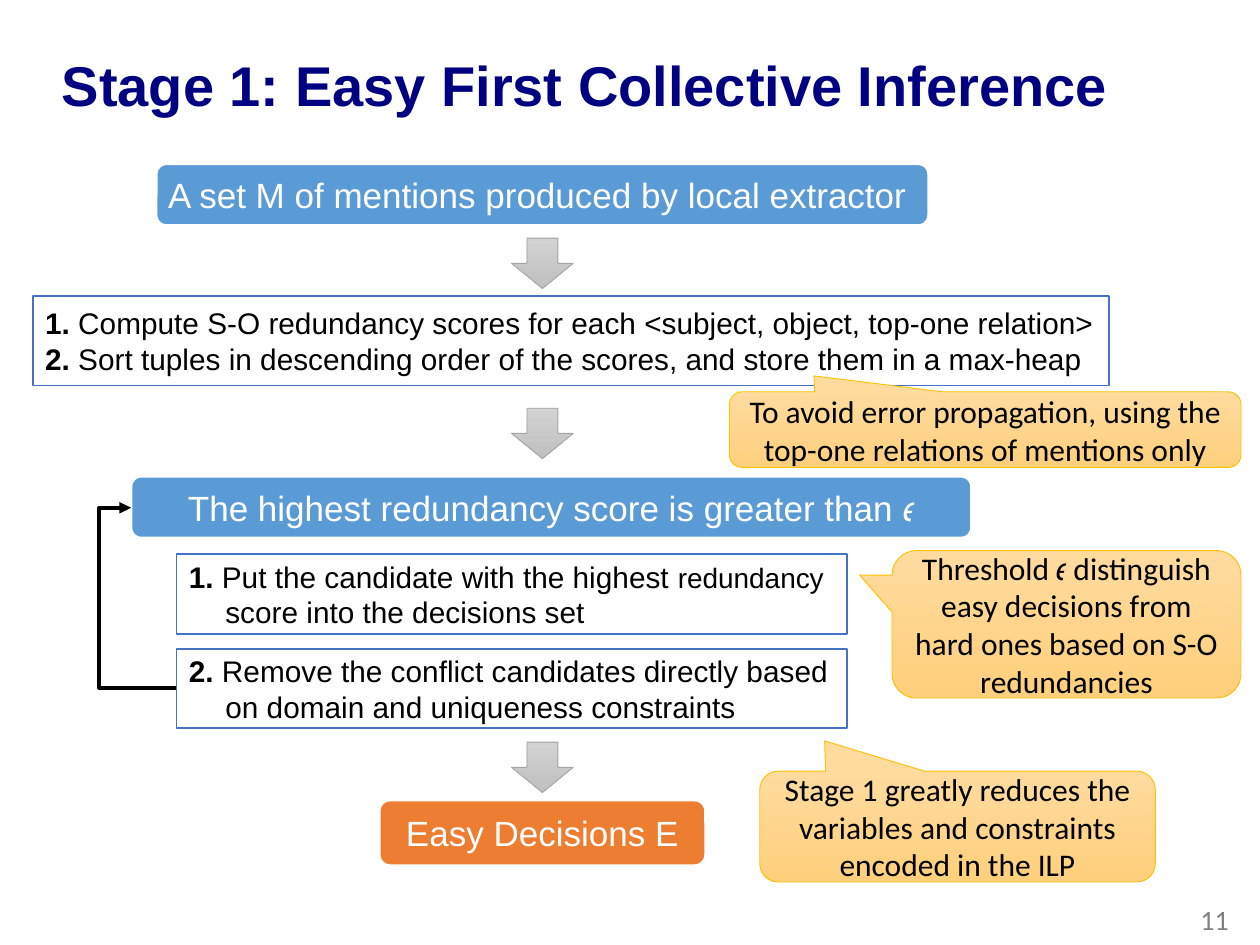
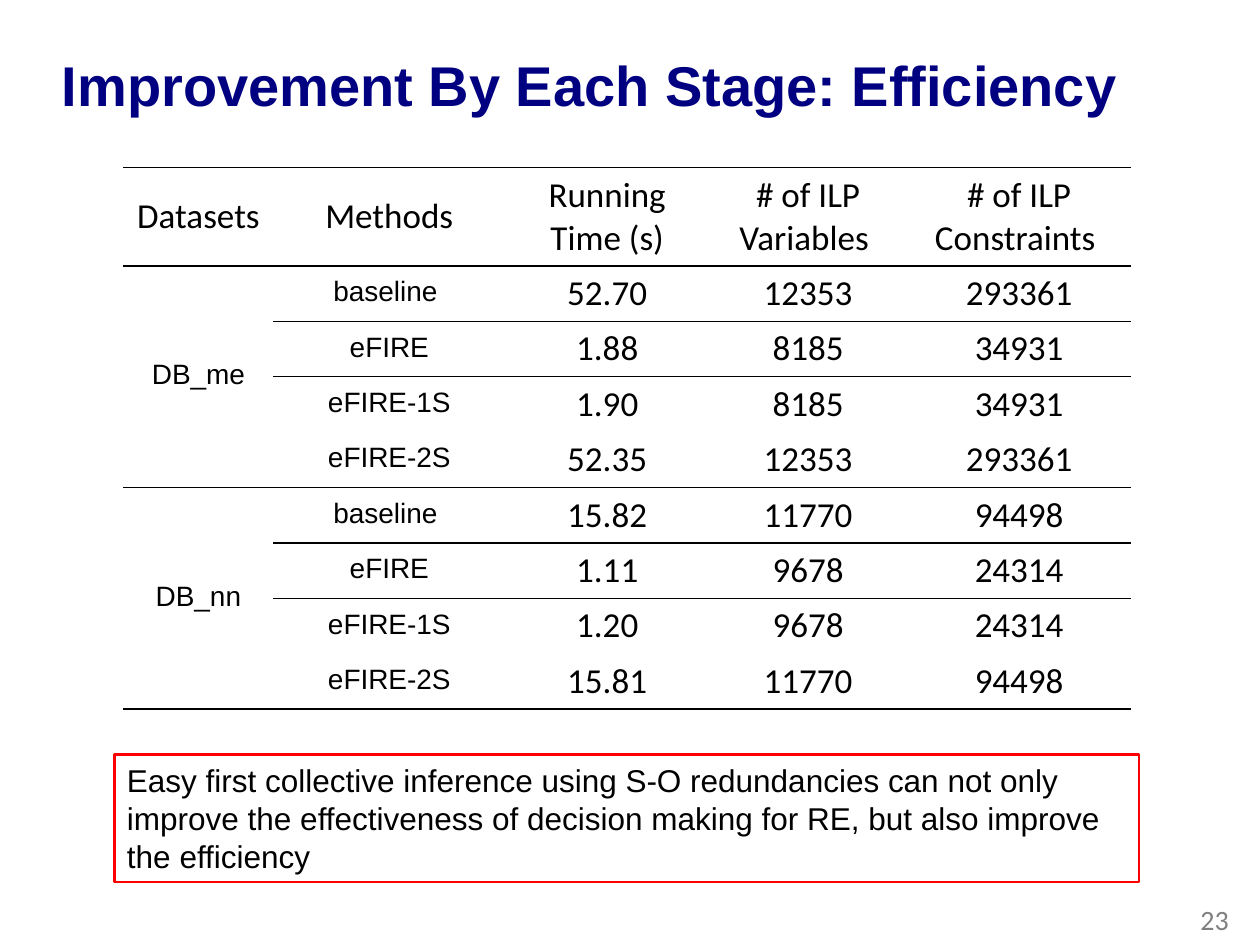
"""Build two slides on easy first collective inference: its flow and its efficiency."""
from lxml.etree import SubElement
from pptx import Presentation
from pptx.dml.color import RGBColor
from pptx.enum.shapes import MSO_CONNECTOR, MSO_SHAPE
from pptx.enum.text import MSO_ANCHOR, MSO_AUTO_SIZE, PP_ALIGN
from pptx.oxml.ns import qn
from pptx.util import Inches, Pt

COLORS = {
    "title": "000080", "text": "000000", "white": "FFFFFF", "number": "808080",
    "step": "5B9BD5", "result": "ED7D31", "detail": "4472C4", "finding": "FF0000",
    "arrow_top": "D2D2D2", "arrow_bottom": "C0C0C0", "arrow_line": "A5A5A5",
    "note_top": "FFDB9E", "note_bottom": "FFD07C", "note_line": "FFC000",
}
HEADING_FONT = "Arial"
NOTE_FONT = "Calibri"
FLOW_CENTER = 4.305
NO_GRID_STYLE = "{2D5ABB26-0587-4C30-8999-92F81FD0307C}"

COLUMN_WIDTHS = (1.19, 1.84, 1.62, 1.57, 1.78)
HEADER_HEIGHT, ROW_HEIGHT = 0.78, 0.44
HEADER = ("Datasets", "Methods", "Running Time (s)",
          "# of ILP\nVariables ", "# of ILP\nConstraints ")
METHODS = ("baseline ", "eFIRE", "eFIRE-1S", "eFIRE-2S")
RESULTS = {
    "DB_me": (("52.70", "12353", "293361"), ("1.88", "8185", "34931"),
              ("1.90", "8185", "34931"), ("52.35", "12353", "293361")),
    "DB_nn": (("15.82", "11770", "94498"), ("1.11", "9678", "24314"),
              ("1.20", "9678", "24314"), ("15.81", "11770", "94498")),
}


def rgb(name):
    return RGBColor.from_string(COLORS[name])


def format_text(frame, size, font, color="text", align=PP_ALIGN.LEFT, bold=False):
    for paragraph in frame.paragraphs:
        paragraph.alignment = align
        for span in paragraph.runs:
            span.font.size = Pt(size)
            span.font.name = font
            span.font.bold = bold
            span.font.color.rgb = rgb(color)


def add_page(deck, title, title_width, number):
    page = deck.slides.add_slide(deck.slide_layouts[5])
    heading = page.shapes.title
    heading.left, heading.top = Inches(0.39), Inches(0.21)
    heading.width, heading.height = Inches(title_width), Inches(0.99)
    frame = heading.text_frame
    frame.text = title
    frame.auto_size = MSO_AUTO_SIZE.NONE
    frame.vertical_anchor = MSO_ANCHOR.MIDDLE
    frame.paragraphs[0].line_spacing = 0.9
    format_text(frame, 32, HEADING_FONT, "title", bold=True)

    box = page.shapes.add_textbox(Inches(7.6), Inches(7.1), Inches(2.25), Inches(0.4))
    box.text_frame.word_wrap = True
    box.text_frame.vertical_anchor = MSO_ANCHOR.MIDDLE
    box.text_frame.text = str(number)
    format_text(box.text_frame, 16, NOTE_FONT, "number", PP_ALIGN.RIGHT)
    return page


def add_box(page, kind, bounds, fill, line, line_width):
    box = page.shapes.add_shape(kind, *map(Inches, bounds))
    box.shadow.inherit = False
    if fill is None:
        box.fill.background()
    elif isinstance(fill, tuple):
        box.fill.gradient()
        box.fill.gradient_angle = 270
        for stop, color in zip(box.fill.gradient_stops, fill):
            stop.color.rgb = rgb(color)
    else:
        box.fill.solid()
        box.fill.fore_color.rgb = rgb(fill)
    box.line.color.rgb = rgb(line)
    box.line.width = Pt(line_width)
    box.text_frame.word_wrap = True
    box.text_frame.vertical_anchor = MSO_ANCHOR.MIDDLE
    return box


def add_step(page, text, top, width, height=0.49, fill="step"):
    bounds = (FLOW_CENTER + 0.07 - 0.07 - width / 2, top, width, height)
    box = add_box(page, MSO_SHAPE.ROUNDED_RECTANGLE, bounds, fill, "white", 1.5)
    box.text_frame.margin_left = box.text_frame.margin_right = Inches(0.05)
    box.text_frame.text = text
    format_text(box.text_frame, 20, HEADING_FONT, "white", PP_ALIGN.CENTER)
    return box


def add_down_arrow(page, top):
    add_box(page, MSO_SHAPE.DOWN_ARROW, (FLOW_CENTER - 0.245, top, 0.49, 0.4),
            ("arrow_top", "arrow_bottom"), "arrow_line", 0.5)


def add_details(page, bounds, lines):
    """Add an outlined box whose lines each hold a bold lead and plain text."""
    box = add_box(page, MSO_SHAPE.RECTANGLE, bounds, "white", "detail", 1)
    frame = box.text_frame
    frame.text = "\n".join(lead for lead, _ in lines)
    for paragraph, (lead, text) in zip(frame.paragraphs, lines):
        paragraph.add_run().text = text
    format_text(frame, 17, HEADING_FONT)
    for paragraph, (lead, _) in zip(frame.paragraphs, lines):
        if lead:
            paragraph.runs[0].font.bold = True
    return box


def indent(paragraph, left, first):
    properties = paragraph._p.get_or_add_pPr()
    properties.set("marL", str(Inches(left)))
    properties.set("indent", str(Inches(first)))


def add_callout(page, text, bounds, tip):
    box = add_box(page, MSO_SHAPE.ROUNDED_RECTANGULAR_CALLOUT, bounds,
                  ("note_top", "note_bottom"), "note_line", 0.5)
    for index, value in enumerate((*tip, 0.167)):
        box.adjustments[index] = value
    box.text_frame.text = text
    format_text(box.text_frame, 18, NOTE_FONT, align=PP_ALIGN.CENTER)


def add_loop_arrow(page, left, top, right, bottom, bend):
    """Add an elbow arrow that runs from the lower right back to the upper left."""
    arrow = page.shapes.add_connector(
        MSO_CONNECTOR.ELBOW, *map(Inches, (left, top, right, bottom)))
    arrow.line.color.rgb = rgb("text")
    arrow.line.width = Pt(2.25)
    properties = arrow._element.spPr
    properties.find(qn("a:xfrm")).set("rot", str(180 * 60000))
    geometry = properties.find(qn("a:prstGeom"))
    guides = geometry.find(qn("a:avLst"))
    if guides is None:
        guides = SubElement(geometry, qn("a:avLst"))
    SubElement(guides, qn("a:gd"), name="adj1", fmla=f"val {round(bend * 100000)}")
    SubElement(properties.find(qn("a:ln")), qn("a:tailEnd"), type="triangle")
    SubElement(properties, qn("a:effectLst"))


def add_border(cell, side):
    line = SubElement(cell._tc.get_or_add_tcPr(), qn(f"a:ln{side}"), w=str(Pt(1)))
    fill = SubElement(line, qn("a:solidFill"))
    SubElement(fill, qn("a:srgbClr"), val=COLORS["text"])


def fill_cell(cell, text, is_label):
    cell.text_frame.text = text
    cell.vertical_anchor = MSO_ANCHOR.MIDDLE
    size, font = (16, HEADING_FONT) if is_label else (20, NOTE_FONT)
    format_text(cell.text_frame, size, font, align=PP_ALIGN.CENTER)
    if is_label:
        cell.text_frame.paragraphs[0].line_spacing = Pt(16)


def add_results_table(page):
    rows = [HEADER]
    for dataset, values in RESULTS.items():
        for index, (method, figures) in enumerate(zip(METHODS, values)):
            rows.append(("" if index else dataset, method, *figures))
    height = HEADER_HEIGHT + ROW_HEIGHT * (len(rows) - 1)
    frame = page.shapes.add_table(len(rows), len(HEADER), Inches(0.98), Inches(1.33),
                                  Inches(sum(COLUMN_WIDTHS)), Inches(height))
    table = frame.table
    table.first_row = table.horz_banding = False
    table._tbl.tblPr.find(qn("a:tableStyleId")).text = NO_GRID_STYLE
    for column, width in zip(table.columns, COLUMN_WIDTHS):
        column.width = Inches(width)

    group = len(METHODS)
    baselines = range(1, len(rows), group)
    ruled_below = {0, *baselines, *(first + group - 1 for first in baselines)}
    for number, values in enumerate(rows):
        table.rows[number].height = Inches(ROW_HEIGHT if number else HEADER_HEIGHT)
        for column, text in enumerate(values):
            cell = table.cell(number, column)
            if text:
                fill_cell(cell, text, number > 0 and column < 2)
            below_baseline = number - 1 in baselines
            if number == 0 or (number - 1 in ruled_below
                               and not (below_baseline and column == 0)):
                add_border(cell, "T")
            if number in ruled_below:
                add_border(cell, "B")
            cell.fill.background()
    for first in baselines:
        table.cell(first, 0).merge(table.cell(first + group - 1, 0))


def build_flow(deck):
    page = add_page(deck, "Stage 1: Easy First Collective Inference", 9.44, 11)
    add_step(page, "A set M of mentions produced by local extractor ", 1.3, 6.13)
    condition = add_step(page, "The highest redundancy score is greater than 𝜖", 3.78, 6.67)
    condition.left = Inches(1.04)
    add_step(page, "Easy Decisions E", 6.35, 2.59, 0.52, "result")

    put = add_details(page, (1.4, 4.4, 5.32, 0.63), [
        ("1.", " Put the candidate with the highest ")])
    paragraph = put.text_frame.paragraphs[0]
    for text in ("redundancy ", "score into the decisions set"):
        paragraph.add_run().text = text
    format_text(put.text_frame, 17, HEADING_FONT)
    paragraph.runs[0].font.bold = True
    paragraph.runs[2].font.size = Pt(16)
    indent(paragraph, 0.29, -0.29)

    remove = add_details(page, (1.4, 5.15, 5.32, 0.63), [
        ("2. ", "Remove the conflict candidates directly based"),
        ("", "on domain and uniqueness constraints")])
    indent(remove.text_frame.paragraphs[1], 0.29, 0)
    add_loop_arrow(page, 1.04, 4.03, 1.4, 5.46, 1.7)
    add_details(page, (0.26, 2.35, 8.54, 0.71), [
        ("1. ", "Compute S-O redundancy scores for each <subject, object, top-one relation>"),
        ("2. ", "Sort tuples in descending order of the scores, and store them in a max-heap")])
    for top in (1.89, 3.24, 5.89):
        add_down_arrow(page, top)

    add_callout(page, "Threshold 𝜖 distinguish\veasy decisions from hard ones "
                "based on S-O redundancies", (7.08, 4.37, 2.77, 1.17), (-0.593, -0.334))
    add_callout(page, "Stage 1 greatly reduces the variables and constraints "
                "encoded in the ILP", (6.03, 6.12, 3.14, 0.88), (-0.336, -0.773))
    add_callout(page, "To avoid error propagation, using the top-one relations "
                "of mentions only", (5.79, 3.11, 4.06, 0.6), (-0.335, -0.71))


def build_efficiency(deck):
    page = add_page(deck, "Improvement By Each Stage: Efficiency", 9.18, 23)
    add_results_table(page)
    finding = add_box(page, MSO_SHAPE.RECTANGLE, (0.91, 5.99, 8.13, 1.01),
                      None, "finding", 1.5)
    finding.text_frame.vertical_anchor = MSO_ANCHOR.TOP
    finding.text_frame.text = (
        "Easy first collective inference using S-O redundancies can not only improve "
        "the effectiveness of decision making for RE, but also improve the efficiency")
    format_text(finding.text_frame, 18, HEADING_FONT)


def main():
    deck = Presentation()
    deck.slide_width, deck.slide_height = Inches(10), Inches(7.5)
    build_flow(deck)
    build_efficiency(deck)
    deck.save("out.pptx")


if __name__ == "__main__":
    main()
